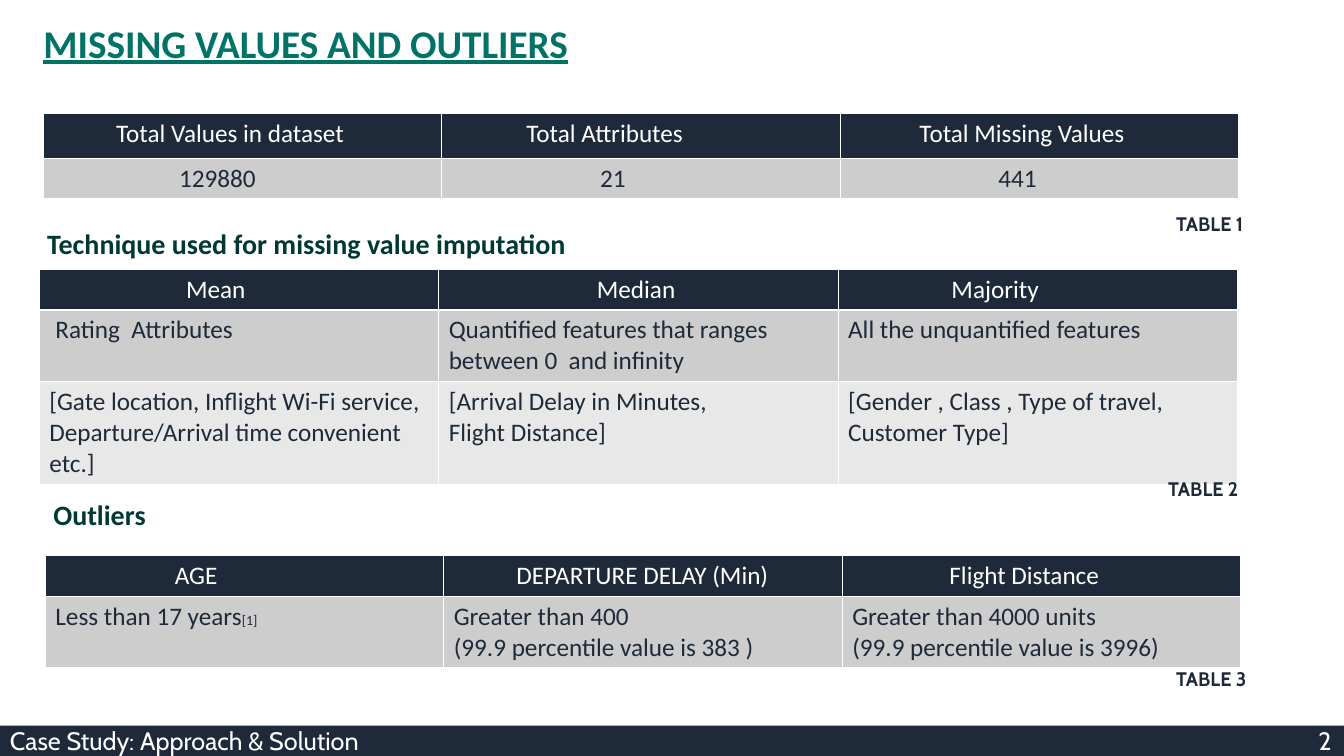
from lxml import etree
from pptx import Presentation
from pptx.dml.color import RGBColor
from pptx.enum import shapes, text
from pptx.oxml import ns
from pptx.util import Pt

NAVY = RGBColor(0x1E, 0x2A, 0x39)
WHITE = RGBColor(0xFF, 0xFF, 0xFF)
TEAL = RGBColor(0x00, 0x72, 0x66)
DARK_GREEN = RGBColor(0x00, 0x39, 0x33)
GREY = RGBColor(0xCD, 0xCD, 0xCE)
LIGHT_GREY = RGBColor(0xE8, 0xE8, 0xE8)
ROW_FILLS = [NAVY, GREY, LIGHT_GREY]
INSET = 7.2


def add_run(p, words, size, color, font="Calibri", bold=None):
    r = p.add_run()
    r.text = words
    r.font.size = Pt(size)
    r.font.name = font
    r.font.color.rgb = color
    r.font.bold = bold
    return r


def add_borders(cell):
    """Draw a 1 pt white line on each side, ahead of the cell's fill."""
    tcPr = cell._tc.get_or_add_tcPr()
    for i, side in enumerate(("lnL", "lnR", "lnT", "lnB")):
        ln = etree.Element(ns.qn("a:" + side), w=str(Pt(1)))
        fill = etree.SubElement(ln, ns.qn("a:solidFill"))
        etree.SubElement(fill, ns.qn("a:srgbClr"), val=str(WHITE))
        tcPr.insert(i, ln)


prs = Presentation()
prs.slide_width, prs.slide_height = Pt(960), Pt(540)
s = prs.slides.add_slide(prs.slide_layouts[5])

title = s.shapes.title
title.left, title.top, title.width, title.height = Pt(31), Pt(17.3), Pt(746), Pt(60)
tf = title.text_frame
tf.margin_left = tf.margin_top = tf.margin_right = tf.margin_bottom = 0
tf.vertical_anchor = text.MSO_ANCHOR.TOP
p = tf.paragraphs[0]
p.alignment = text.PP_ALIGN.LEFT
p.line_spacing = 0.9
add_run(p, "MISSING VALUES AND OUTLIERS", 28, TEAL, bold=True).font.underline = True

# Each table: left, top, column width, row heights, rows of (text, left indent)
tables = [
    (31, 80.8, 284.6, [32.2, 29.2], [
        [("Total Values in dataset", 52), ("Total Attributes", 60.4),
         ("Total Missing Values", 56.6)],
        [("129880", 97), ("21", 113), ("441", 113)],
    ]),
    (28.1, 192.2, 285.3, [29.2, 50.8, 73.4], [
        [("Mean", 104.8), ("Median", 113), ("Majority", 81)],
        [("Rating  Attributes", 11.5),
         ("Quantified features that ranges between 0  and infinity", INSET),
         ("All the unquantified features", INSET)],
        [("[Gate location, Inflight Wi-Fi service, Departure/Arrival time convenient etc.]", INSET),
         ("[Arrival Delay in Minutes,\nFlight Distance]", INSET),
         ("[Gender , Class , Type of travel, Customer Type]", INSET)],
    ]),
    (32.4, 396.7, 284.6, [29.2, 50.8], [
        [("AGE", 92.5), ("DEPARTURE DELAY (Min)", 51.8), ("Flight Distance", 76.6)],
        [("Less than 17 years", INSET),
         ("Greater than 400\n(99.9 percentile value is 383 )", INSET),
         ("Greater than 4000 units\n(99.9 percentile value is 3996)", INSET)],
    ]),
]
for left, top, col_width, heights, rows in tables:
    table = s.shapes.add_table(len(rows), 3, Pt(left), Pt(top),
                               Pt(3 * col_width), Pt(sum(heights))).table
    for col in table.columns:
        col.width = Pt(col_width)
    for i, (height, row) in enumerate(zip(heights, rows)):
        table.rows[i].height = Pt(height)
        for j, (words, indent) in enumerate(row):
            cell = table.cell(i, j)
            cell.margin_left = Pt(indent)
            cell.fill.solid()
            cell.fill.fore_color.rgb = ROW_FILLS[i]
            add_borders(cell)
            tf = cell.text_frame
            for k, line in enumerate(words.split("\n")):
                p = tf.add_paragraph() if k else tf.paragraphs[0]
                add_run(p, line, 18, NAVY if i else WHITE)

# The age limit in the last table carries a small reference mark
add_run(table.cell(1, 0).text_frame.paragraphs[0], "[1]", 10, NAVY)

labels = [
    ("Technique used for missing value imputation", 26.6, 160.6, 755, 29.5, 20, DARK_GREEN, "Calibri", 0.9),
    ("Outliers", 31, 352.1, 453, 31.5, 20, DARK_GREEN, "Calibri", 1),
    ("TABLE 1", 833, 147.6, 68, 24.2, 14, NAVY, "Cabin", 1),
    ("TABLE 2", 827.3, 337, 132, 24.2, 14, NAVY, "Cabin", 1),
    ("TABLE 3", 833, 473, 89, 24.2, 14, NAVY, "Cabin", 1),
]
for words, left, top, width, height, size, color, font, spacing in labels:
    tf = s.shapes.add_textbox(Pt(left), Pt(top), Pt(width), Pt(height)).text_frame
    tf.word_wrap = True
    p = tf.paragraphs[0]
    p.line_spacing = spacing
    add_run(p, words, size, color, font, True)

footer = s.shapes.add_shape(shapes.MSO_SHAPE.RECTANGLE, 0, Pt(518.4), Pt(960), Pt(21.6))
footer.shadow.inherit = False
footer.fill.solid()
footer.fill.fore_color.rgb = NAVY
footer.line.fill.background()
tf = footer.text_frame
tf.vertical_anchor = text.MSO_ANCHOR.MIDDLE
p = tf.paragraphs[0]
p.alignment = text.PP_ALIGN.LEFT
tabs = etree.SubElement(p._p.get_or_add_pPr(), ns.qn("a:tabLst"))
etree.SubElement(tabs, ns.qn("a:tab"), pos=str(Pt(944)), algn="r")
add_run(p, "Case Study: Approach & Solution\t2", 18, WHITE, "Cabin")

prs.save("out.pptx")
